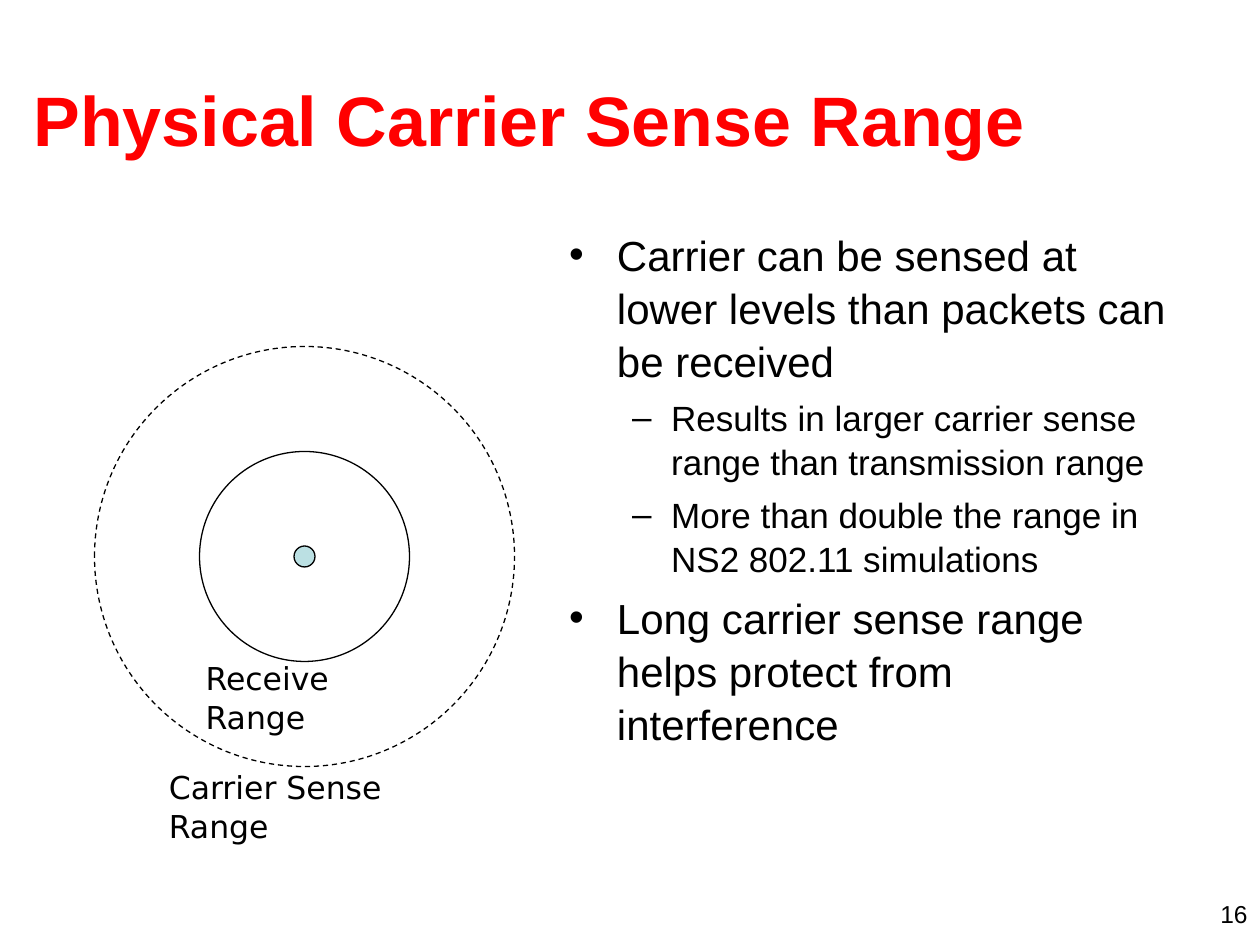
from lxml import etree
from pptx import Presentation
from pptx.dml.color import RGBColor
from pptx.enum.dml import MSO_LINE
from pptx.enum.shapes import MSO_SHAPE
from pptx.enum.text import MSO_ANCHOR, MSO_AUTO_SIZE, PP_ALIGN
from pptx.oxml.ns import qn
from pptx.util import Inches, Pt

LEFT, RIGHT = PP_ALIGN.LEFT, PP_ALIGN.RIGHT
TOP, MIDDLE = MSO_ANCHOR.TOP, MSO_ANCHOR.MIDDLE
NO_FIT = MSO_AUTO_SIZE.NONE
DASH, SOLID = MSO_LINE.DASH, MSO_LINE.SOLID
ELLIPSE = MSO_SHAPE.OVAL

COLORS = {"title": "FF0000", "ink": "000000", "node": "BBE0E3"}

deck = Presentation()
deck.slide_width, deck.slide_height = Inches(10), Inches(7.5)
CELL = deck.slide_width / 120
slide = deck.slides.add_slide(deck.slide_layouts[1])


def grid(*cells):
    return [round(cell * CELL) for cell in cells]


def write(frame, text, size, font="Arial", color="ink", bold=False, align=LEFT,
          level=0, bullet=None, indent=0, hang=0, before=0, spacing=1.0):
    frame.word_wrap = True
    frame.auto_size = NO_FIT
    paragraph = frame.paragraphs[0] if not frame.text else frame.add_paragraph()
    paragraph.level = level
    paragraph.alignment = align
    paragraph.line_spacing = spacing
    paragraph.space_before = Pt(before)
    if bullet:
        properties = paragraph._p.get_or_add_pPr()
        properties.set("marL", str(Inches(indent)))
        properties.set("indent", str(-Inches(hang)))
        etree.SubElement(properties, qn("a:buChar")).set("char", bullet)
    run = paragraph.add_run()
    run.text = text
    run.font.name, run.font.size, run.font.bold = font, Pt(size), bold
    run.font.color.rgb = RGBColor.from_string(COLORS[color])


title = slide.shapes.title
title.left, title.top, title.width, title.height = grid(2, 3.8, 115, 15)
title.text_frame.vertical_anchor = MIDDLE
write(title.text_frame, "Physical Carrier Sense Range", 40, color="title", bold=True)

points = slide.placeholders[1]
points.left, points.top, points.width, points.height = grid(53, 21, 61, 59.4)
points.text_frame.vertical_anchor = TOP
LEVELS = [
    dict(size=24, bullet="•", indent=0.38, hang=0.38, before=6),
    dict(size=20, bullet="–", indent=0.81, hang=0.31, before=5),
]
for order, (level, text) in enumerate([
    (0, "Carrier can be sensed at lower levels than packets can be received"),
    (1, "Results in larger carrier sense range than transmission range"),
    (1, "More than double the range in NS2 802.11 simulations"),
    (0, "Long carrier sense range helps protect from interference"),
]):
    style = dict(LEVELS[level])
    if order == 0:
        style["before"] = 0
    write(points.text_frame, text, level=level, spacing=1.05, **style)

CENTER_COLUMN, CENTER_ROW = 29, 53
for diameter, dash, fill in [(2, SOLID, "node"), (40, DASH, None), (20, SOLID, None)]:
    ring = slide.shapes.add_shape(ELLIPSE, *grid(
        CENTER_COLUMN - diameter / 2, CENTER_ROW - diameter / 2, diameter, diameter))
    ring.shadow.inherit = False
    ring.line.color.rgb = RGBColor.from_string(COLORS["ink"])
    ring.line.width = Pt(0.75)
    ring.line.dash_style = dash
    if fill:
        ring.fill.solid()
        ring.fill.fore_color.rgb = RGBColor.from_string(COLORS[fill])
    else:
        ring.fill.background()

for text, cells, style in [
    ("Receive Range", (18.4, 62, 22.8, 4.8),
     dict(size=18, font="DejaVu Sans", spacing=1.04)),
    ("Carrier Sense Range", (14.9, 72.4, 31, 4.8),
     dict(size=18, font="DejaVu Sans", spacing=1.04)),
    ("16", (92, 85, 28, 3), dict(size=14, align=RIGHT)),
]:
    label = slide.shapes.add_textbox(*grid(*cells))
    write(label.text_frame, text, **style)

deck.save("out.pptx")
